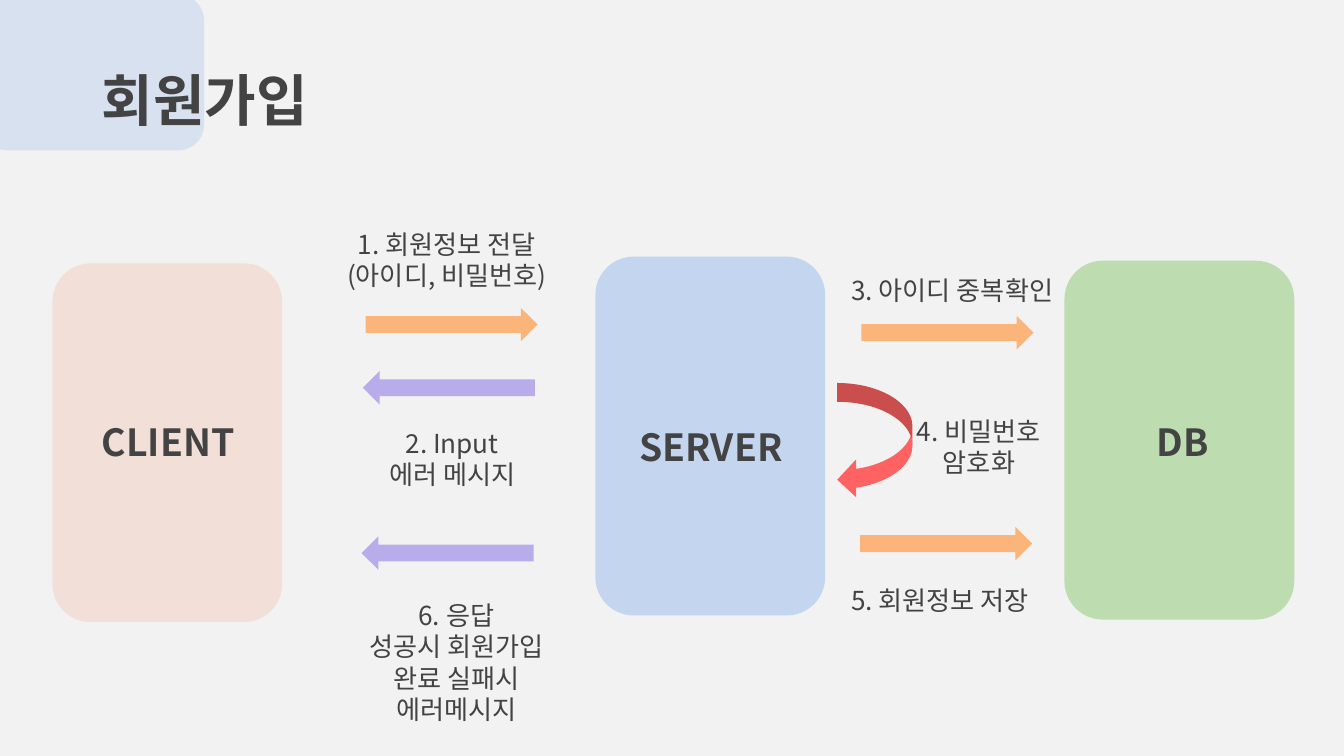
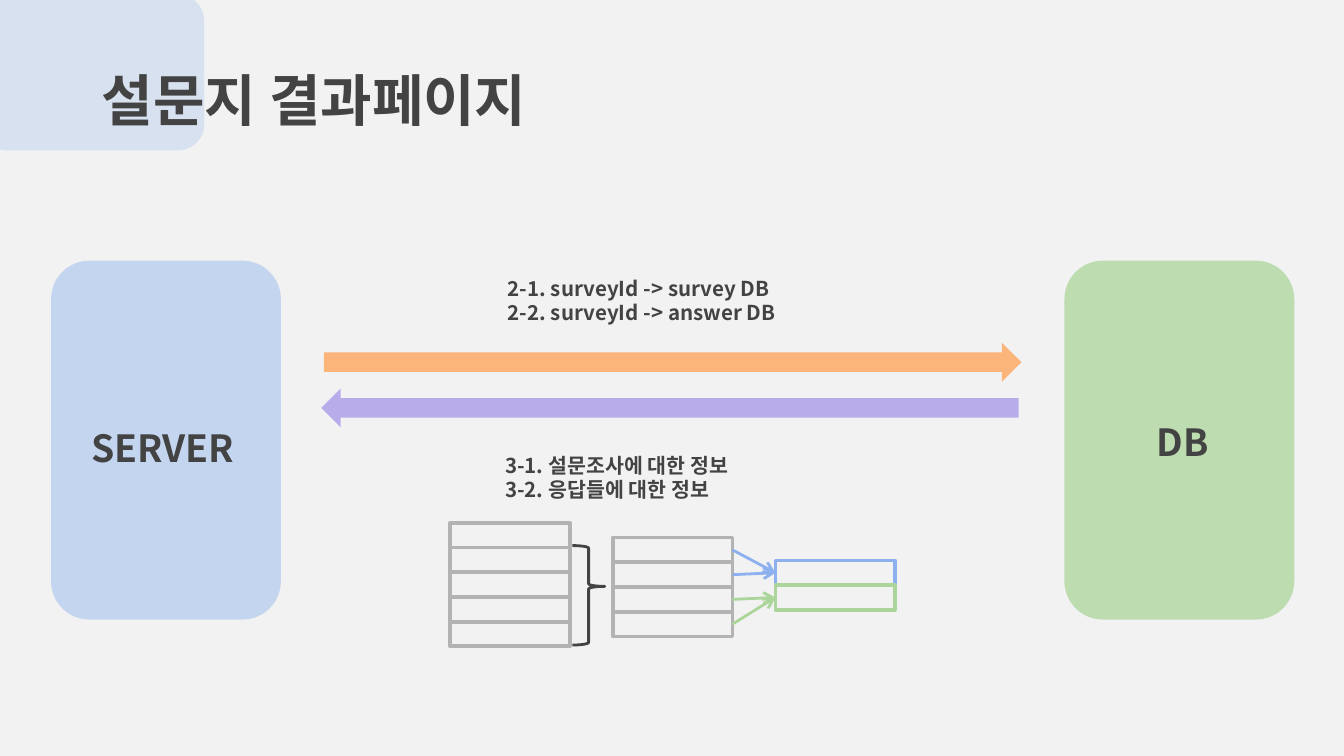
"""Build two slides: the sign-up flow and the survey result page."""
from dataclasses import dataclass

from lxml import etree
from pptx import Presentation
from pptx.dml.color import RGBColor
from pptx.enum.shapes import MSO_CONNECTOR, MSO_SHAPE
from pptx.enum.text import MSO_ANCHOR, PP_ALIGN
from pptx.oxml.ns import qn
from pptx.presentation import Presentation as Deck
from pptx.shapes.autoshape import Shape
from pptx.slide import Slide
from pptx.util import Inches, Pt

ROUNDED = MSO_SHAPE.ROUNDED_RECTANGLE
RECTANGLE = MSO_SHAPE.RECTANGLE
ARROW = MSO_SHAPE.RIGHT_ARROW
RETURN_ARROW = MSO_SHAPE.CURVED_LEFT_ARROW
BRACE = MSO_SHAPE.RIGHT_BRACE
STRAIGHT = MSO_CONNECTOR.STRAIGHT
LEFT, CENTER = PP_ALIGN.LEFT, PP_ALIGN.CENTER
TOP, BOTTOM = MSO_ANCHOR.TOP, MSO_ANCHOR.BOTTOM

SLIDE_WIDTH, SLIDE_HEIGHT = Inches(10), Inches(5.625)
COLUMN, ROW = SLIDE_WIDTH / 100, SLIDE_HEIGHT / 56.25


@dataclass(frozen=True)
class Theme:
    """Colours, font and type sizes of both slides."""
    background: str = "F2F2F2"
    ink: str = "434343"
    blue: str = "8CB1EE"
    green: str = "ABD59A"
    server: str = "B5CBF0"
    client: str = "F2D9CF"
    request: str = "FBB479"
    response: str = "B9ACEA"
    loop: str = "FE6262"
    record: str = "B3B3B3"
    font: str = "Noto Sans CJK KR"
    title_size: int = 30
    node_size: int = 20
    label_size: int = 14
    note_size: int = 11
    record_line: float = 2
    thin_line: float = 1.5
    node_opacity: int = 74
    band_opacity: int = 25


THEME = Theme()


@dataclass(frozen=True)
class Area:
    """A rectangle in grid columns and rows."""
    left: float
    top: float
    width: float
    height: float

    def lengths(self) -> tuple[int, int, int, int]:
        """Return the rectangle in slide units."""
        return (round(self.left * COLUMN), round(self.top * ROW),
                round(self.width * COLUMN), round(self.height * ROW))


@dataclass(frozen=True)
class Node:
    """A participant of the exchange with its caption."""
    name: str
    color: str
    left: float
    top: float
    caption_left: float
    caption_top: float


@dataclass(frozen=True)
class Message:
    """A block arrow between two participants."""
    left: float
    top: float
    is_response: bool = False
    width: float = 12.8
    height: float = 2.5


@dataclass(frozen=True)
class Label:
    """A centred step description."""
    text: str
    left: float
    top: float
    width: float = 17.1
    height: float = 4.3


@dataclass(frozen=True)
class RecordStack:
    """A column of equal record cells, one colour per cell."""
    left: float
    top: float
    colors: tuple[str, ...]
    width: float = 8.9
    height: float = 1.84

    def cell(self, index: int) -> Area:
        """Return the area of one record."""
        return Area(self.left, self.top + index * self.height, self.width, self.height)

    def middle(self, index: int) -> float:
        """Return the row through the middle of one record."""
        return self.top + (index + 0.5) * self.height


DATABASE = Node("DB", THEME.green, 79.2, 19.4, 79.4, 29.2)
SIGN_UP_NODES = (
    Node("SERVER", THEME.server, 44.3, 19.1, 44.3, 29.6),
    Node("CLIENT", THEME.client, 3.9, 19.6, 3.9, 29.2),
    DATABASE,
)
RESULT_NODES = (DATABASE, Node("SERVER", THEME.server, 3.8, 19.4, 3.5, 29.7))

LABELS_BEHIND = (
    Label("1. 회원정보 전달 (아이디, 비밀번호)", 24.7, 16),
    Label("4. 비밀번호\n암호화", 64.3, 29.9),
)
LABELS_IN_FRONT = (
    Label("3. 아이디 중복확인", 62.3, 19.4),
    Label("5. 회원정보 저장", 61.4, 42.5),
    Label("6. 응답\n성공시 회원가입 완료 실패시 에러메시지", 24.5, 43.6, 18.9, 9.2),
    Label("2. Input\n에러 메시지", 25.1, 30.8),
)
SIGN_UP_MESSAGES = (
    Message(27.2, 22.9),
    Message(26.9, 39.9, True),
    Message(27, 27.6, True),
    Message(64.1, 23.5),
    Message(64, 39.2),
)
RESULT_MESSAGES = (Message(24.1, 25.5, False, 51.9, 2.9),
                   Message(23.9, 28.9, True, 51.9, 2.9))

ALL_RECORDS = RecordStack(33.5, 38.9, (THEME.record,) * 5)
ANSWERS = RecordStack(45.6, 40, (THEME.record,) * 4)
GROUPS = RecordStack(57.7, 41.7, (THEME.blue, THEME.green))


def rgb(color: str) -> RGBColor:
    """Turn a hexadecimal colour into a colour object."""
    return RGBColor.from_string(color)


def add_figure(slide: Slide, kind: int, area: Area, *, fill: str = "", line: str = "",
               line_width: float = 0, opacity: int = 100) -> Shape:
    """Draw a flat preset shape."""
    shape = slide.shapes.add_shape(kind, *area.lengths())
    shape.shadow.inherit = False
    if fill:
        shape.fill.solid()
        shape.fill.fore_color.rgb = rgb(fill)
    else:
        shape.fill.background()
    if opacity < 100:
        color = shape.fill._xPr.find(".//" + qn("a:srgbClr"))
        etree.SubElement(color, qn("a:alpha"), val=str(opacity * 1000))
    if line:
        shape.line.color.rgb = rgb(line)
        shape.line.width = Pt(line_width)
    else:
        shape.line.fill.background()
    return shape


def add_text(slide: Slide, text: str, area: Area, *, size: int, bold: bool = False,
             align: int = LEFT, anchor: int = TOP, inset: float = 0.1) -> None:
    """Write text, one paragraph for each line."""
    frame = slide.shapes.add_textbox(*area.lengths()).text_frame
    frame.word_wrap = True
    frame.vertical_anchor = anchor
    frame.margin_left = frame.margin_right = Inches(0.1)
    frame.margin_top = frame.margin_bottom = Inches(inset)
    frame.text = text
    for paragraph in frame.paragraphs:
        paragraph.alignment = align
        for run in paragraph.runs:
            run.font.name = THEME.font
            run.font.size = Pt(size)
            run.font.bold = bold
            run.font.color.rgb = rgb(THEME.ink)
            etree.SubElement(run.font._element, qn("a:ea"), typeface=THEME.font)


def add_node(slide: Slide, node: Node) -> None:
    """Draw a participant and its caption."""
    add_figure(slide, ROUNDED, Area(node.left, node.top, 17.1, 26.7),
               fill=node.color, opacity=THEME.node_opacity)
    add_text(slide, node.name, Area(node.caption_left, node.caption_top, 17.2, 6.3),
             size=THEME.node_size, bold=True, align=CENTER, anchor=BOTTOM)


def add_message(slide: Slide, message: Message) -> None:
    """Draw a request to the right or a response to the left."""
    area = Area(message.left, message.top, message.width, message.height)
    shape = add_figure(slide, ARROW, area,
                       fill=THEME.response if message.is_response else THEME.request)
    shape.rotation = 180 if message.is_response else 0


def add_label(slide: Slide, label: Label) -> None:
    """Write a step description."""
    add_text(slide, label.text, Area(label.left, label.top, label.width, label.height),
             size=THEME.label_size, align=CENTER)


def add_records(slide: Slide, stack: RecordStack) -> None:
    """Draw the cells of a record stack."""
    for index, color in enumerate(stack.colors):
        add_figure(slide, RECTANGLE, stack.cell(index), fill=THEME.background,
                   line=color, line_width=THEME.record_line)


def add_group_arrow(slide: Slide, answer: int, group: int) -> None:
    """Link an answer record to its group."""
    start = Area(ANSWERS.left + ANSWERS.width, ANSWERS.middle(answer), 0, 0).lengths()
    end = Area(GROUPS.left, GROUPS.middle(group), 0, 0).lengths()
    connector = slide.shapes.add_connector(STRAIGHT, *start[:2], *end[:2])
    connector.line.color.rgb = rgb(GROUPS.colors[group])
    connector.line.width = Pt(THEME.thin_line)
    etree.SubElement(connector.line._get_or_add_ln(), qn("a:tailEnd"), type="arrow")
    etree.SubElement(connector._element.spPr, qn("a:effectLst"))


def add_titled_slide(presentation: Deck, title: str) -> Slide:
    """Add a slide with the shared background, corner band and title."""
    slide = presentation.slides.add_slide(presentation.slide_layouts[6])
    slide.background.fill.solid()
    slide.background.fill.fore_color.rgb = rgb(THEME.background)
    add_figure(slide, ROUNDED, Area(-1.4, -0.4, 16.6, 11.6),
               fill=THEME.blue, opacity=THEME.band_opacity)
    add_text(slide, title, Area(6.6, 3.9, 37.1, 8.2), size=THEME.title_size, bold=True)
    return slide


def build_sign_up(presentation: Deck) -> None:
    """Build the sign-up flow."""
    slide = add_titled_slide(presentation, "회원가입")
    for node in SIGN_UP_NODES:
        add_node(slide, node)
    for label in LABELS_BEHIND:
        add_label(slide, label)
    add_figure(slide, RETURN_ARROW, Area(62.3, 28.5, 5.6, 8.6), fill=THEME.loop)
    for message in SIGN_UP_MESSAGES:
        add_message(slide, message)
    for label in LABELS_IN_FRONT:
        add_label(slide, label)


def build_survey_result(presentation: Deck) -> None:
    """Build the survey result exchange."""
    slide = add_titled_slide(presentation, "설문지 결과페이지")
    for node in RESULT_NODES:
        add_node(slide, node)
    for message in RESULT_MESSAGES:
        add_message(slide, message)
    add_text(slide, "2-1. surveyId -> survey DB\n2-2. surveyId -> answer DB",
             Area(36.8, 19.5, 24, 5.8), size=THEME.note_size, bold=True)
    add_text(slide, "3-1. 설문조사에 대한 정보\n3-2. 응답들에 대한 정보",
             Area(36.6, 33.2, 22.3, 4.7), size=THEME.note_size, bold=True, inset=0.05)
    for stack in (ALL_RECORDS, ANSWERS, GROUPS):
        add_records(slide, stack)
    brace = add_figure(slide, BRACE, Area(42.6, 40.6, 2.4, 7.4),
                       line=THEME.ink, line_width=THEME.thin_line)
    brace.adjustments[0], brace.adjustments[1] = 0.08, 0.41
    for answer in range(len(ANSWERS.colors)):
        add_group_arrow(slide, answer, answer // 2)


def main() -> None:
    """Build and save the presentation."""
    presentation = Presentation()
    presentation.slide_width, presentation.slide_height = SLIDE_WIDTH, SLIDE_HEIGHT
    build_sign_up(presentation)
    build_survey_result(presentation)
    presentation.save("out.pptx")


if __name__ == "__main__":
    main()
